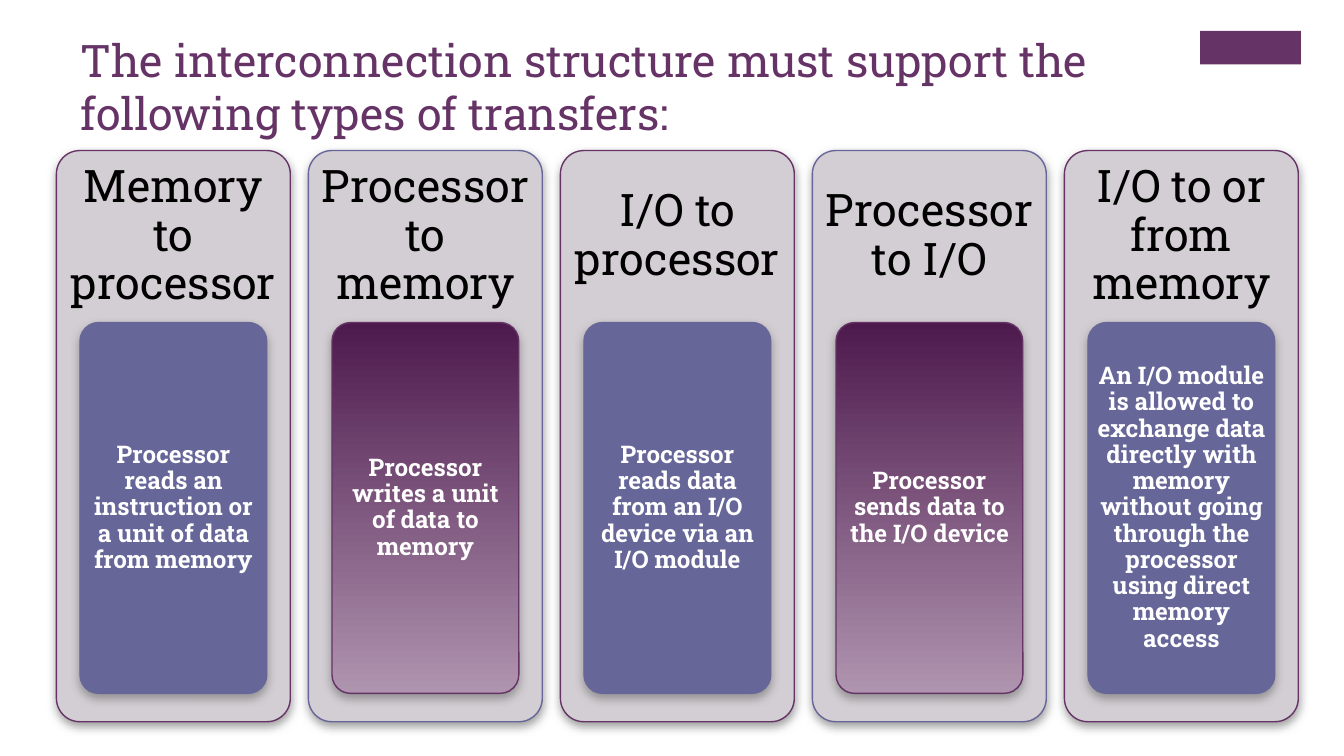
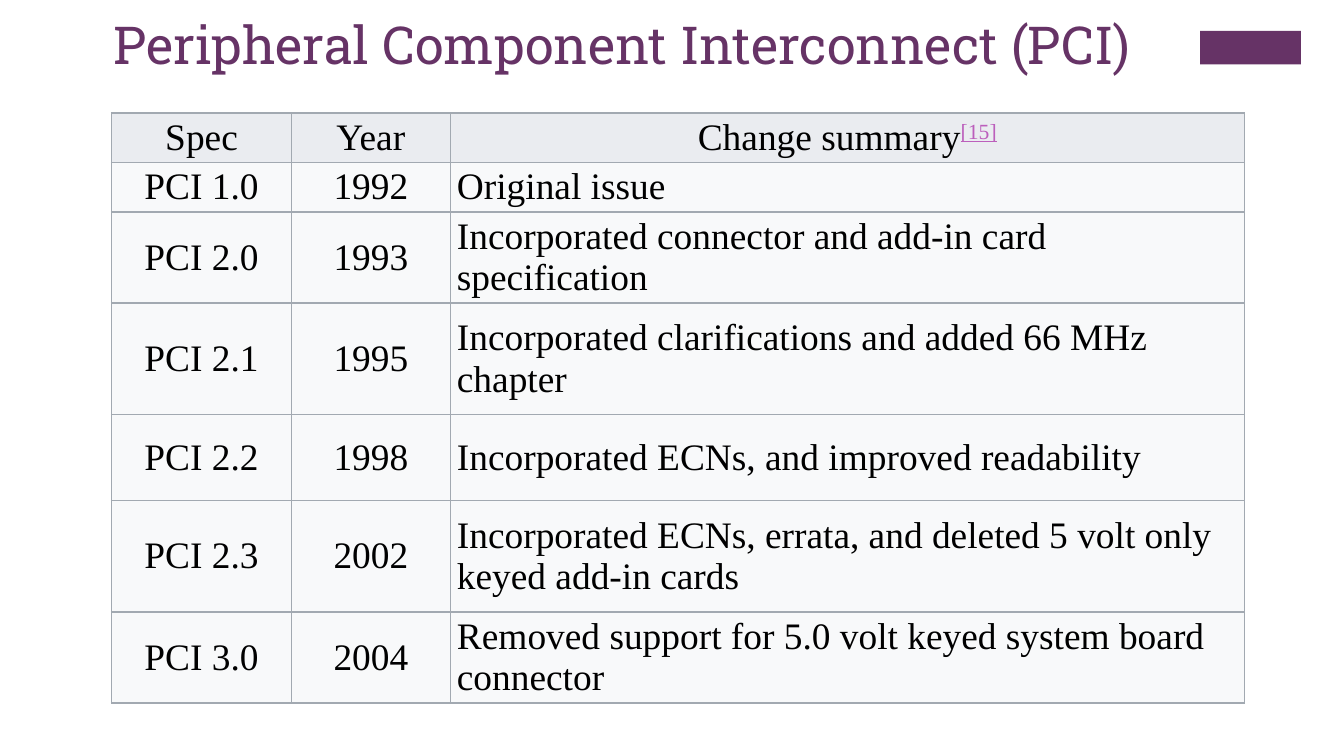
"""Build two slides on interconnection transfers and PCI revisions."""
from dataclasses import dataclass

from lxml import etree
from pptx import Presentation
from pptx import util as u
from pptx.dml.color import RGBColor
from pptx.enum import shapes, text
from pptx.oxml import parse_xml
from pptx.oxml.ns import nsdecls, qn


@dataclass(frozen=True)
class Theme:
    purple: str = "663366"
    violet: str = "666699"
    deep: str = "4D1A4D"
    mauve: str = "AF94AF"
    card: str = "D3CED3"
    shadow: str = "808080"
    black: str = "000000"
    white: str = "FFFFFF"
    link: str = "BC5FBC"
    header: str = "EAECF0"
    row: str = "F8F9FA"
    border: str = "A2A9B1"
    slab: str = "Roboto Slab"
    serif: str = "Times New Roman"
    title: int = 24
    big_title: int = 28
    heading: int = 24
    detail: int = 13
    table: int = 20
    line: float = 0.75


theme = Theme()


def add_span(para, words, size, color, font=theme.slab, bold=False):
    span = para.add_run()
    span.text = words
    span.font.size = u.Pt(size)
    span.font.name = font
    span.font.bold = bold
    span.font.color.rgb = RGBColor.from_string(color)
    return span


def add_card(page, left, top, width, height, line):
    card = page.shapes.add_shape(
        shapes.MSO_SHAPE.ROUNDED_RECTANGLE,
        u.Inches(left), u.Inches(top), u.Inches(width), u.Inches(height))
    card.adjustments[0] = 0.1
    card.line.color.rgb = RGBColor.from_string(line)
    card.line.width = u.Pt(theme.line)
    card.fill.solid()
    card.element.spPr.append(parse_xml(
        f'<a:effectLst {nsdecls("a")}>'
        f'<a:outerShdw blurRad="{u.Pt(5)}" dist="{u.Pt(2)}" dir="5400000" rotWithShape="0">'
        f'<a:srgbClr val="{theme.shadow}"><a:alpha val="75000"/></a:srgbClr>'
        '</a:outerShdw></a:effectLst>'))
    return card


deck = Presentation()
deck.slide_width, deck.slide_height = u.Inches(10), u.Inches(10 * 9 / 16)
layout = deck.slide_layouts[5]

titles = [
    ("The interconnection structure must support the following types of transfers:",
     0.19, theme.title, text.PP_ALIGN.LEFT),
    ("Peripheral Component Interconnect (PCI)",
     0.04, theme.big_title, text.PP_ALIGN.CENTER),
]
pages = []
for words, top, size, align in titles:
    page = deck.slides.add_slide(layout)
    title = page.shapes.title
    title.left, title.top = u.Inches(0.5), u.Inches(top)
    title.width, title.height = u.Inches(8.26), u.Inches(0.92)
    title.text_frame.auto_size = text.MSO_AUTO_SIZE.NONE
    title.text_frame.vertical_anchor = text.MSO_ANCHOR.TOP
    para = title.text_frame.paragraphs[0]
    para.alignment = align
    add_span(para, words, size, theme.purple)
    pages.append(page)
transfer_page, pci_page = pages

band = transfer_page.shapes.add_shape(
    shapes.MSO_SHAPE.RECTANGLE,
    u.Inches(8.93), u.Inches(0.23), u.Inches(0.75), u.Inches(0.25))
band.shadow.inherit = False
band.fill.solid()
band.fill.fore_color.rgb = RGBColor.from_string(theme.purple)
band.line.fill.background()
layout.shapes.element.append(band.element)

transfers = [
    ("Memory to processor",
     "Processor reads an instruction or a unit of data from memory"),
    ("Processor to memory",
     "Processor writes a unit of data to memory"),
    ("I/O to processor",
     "Processor reads data from an I/O device via an I/O module"),
    ("Processor to I/O",
     "Processor sends data to the I/O device"),
    ("I/O to or from memory",
     "An I/O module is allowed to exchange data directly with memory without "
     "going through the processor using direct memory access"),
]
card_width, detail_width = 1.74, 1.39
pitch = 7.5 / (len(transfers) - 1)
for index, (heading, detail) in enumerate(transfers):
    left = 0.42 + index * pitch
    shaded = index % 2 == 1
    outer_line, inner_line = theme.purple, theme.violet
    if shaded:
        outer_line, inner_line = inner_line, outer_line

    card = add_card(transfer_page, left, 1.12, card_width, 4.25, outer_line)
    card.fill.fore_color.rgb = RGBColor.from_string(theme.card)

    heading_box = transfer_page.shapes.add_textbox(
        u.Inches(left), u.Inches(1.12), u.Inches(card_width), u.Inches(1.28))
    detail_card = add_card(
        transfer_page, left + (card_width - detail_width) / 2, 2.4,
        detail_width, 2.76, inner_line)
    if shaded:
        detail_card.fill.gradient()
        detail_card.fill.gradient_angle = 270
        for stop, color in zip(detail_card.fill.gradient_stops, (theme.deep, theme.mauve)):
            stop.color.rgb = RGBColor.from_string(color)
    else:
        detail_card.fill.fore_color.rgb = RGBColor.from_string(theme.violet)

    for box, words, size, color, bold, side, edge in (
            (heading_box, heading, theme.heading, theme.black, False, 0.1, 0.1),
            (detail_card, detail, theme.detail, theme.white, True, 0.03, 0.03)):
        frame = box.text_frame
        frame.word_wrap = True
        frame.vertical_anchor = text.MSO_ANCHOR.MIDDLE
        frame.margin_left = frame.margin_right = u.Inches(side)
        frame.margin_top = frame.margin_bottom = u.Inches(edge)
        para = frame.paragraphs[0]
        para.alignment = text.PP_ALIGN.CENTER
        para.line_spacing = 0.9
        add_span(para, words, size, color, bold=bold)

revisions = [
    ("Spec", "Year", "Change summary"),
    ("PCI 1.0", "1992", "Original issue"),
    ("PCI 2.0", "1993", "Incorporated connector and add-in card specification"),
    ("PCI 2.1", "1995", "Incorporated clarifications and added 66 MHz chapter"),
    ("PCI 2.2", "1998", "Incorporated ECNs, and improved readability"),
    ("PCI 2.3", "2002", "Incorporated ECNs, errata, and deleted 5 volt only keyed add-in cards"),
    ("PCI 3.0", "2004", "Removed support for 5.0 volt keyed system board connector"),
]
column_widths = [1.34, 1.18, 5.91]
row_heights = [0.26, 0.26, 0.64, 0.83, 0.64, 0.83, 0.64]
table = pci_page.shapes.add_table(
    len(revisions), len(column_widths), u.Inches(0.83), u.Inches(0.84),
    u.Inches(sum(column_widths)), u.Inches(sum(row_heights))).table
table.first_row = table.horz_banding = False
for column, width in zip(table.columns, column_widths):
    column.width = u.Inches(width)
for row, height in zip(table.rows, row_heights):
    row.height = u.Inches(height)

for row_index, revision in enumerate(revisions):
    for column_index, words in enumerate(revision):
        cell = table.cell(row_index, column_index)
        cell.margin_left = cell.margin_right = u.Inches(0.05)
        cell.margin_top = cell.margin_bottom = u.Inches(0.03)
        cell.vertical_anchor = text.MSO_ANCHOR.MIDDLE
        properties = cell._tc.get_or_add_tcPr()
        for side in "LRTB":
            edge = etree.SubElement(properties, qn(f"a:ln{side}"), w=str(u.Pt(theme.line)))
            paint = etree.SubElement(edge, qn("a:solidFill"))
            etree.SubElement(paint, qn("a:srgbClr"), val=theme.border)
        cell.fill.solid()
        cell.fill.fore_color.rgb = RGBColor.from_string(
            theme.header if row_index == 0 else theme.row)
        para = cell.text_frame.paragraphs[0]
        centred = row_index == 0 or column_index < 2
        para.alignment = text.PP_ALIGN.CENTER if centred else text.PP_ALIGN.LEFT
        add_span(para, words, theme.table, theme.black, theme.serif)

citation = add_span(
    table.cell(0, 2).text_frame.paragraphs[0], "[15]", theme.table, theme.link, theme.serif)
citation.font.underline = True
citation.font._element.set("baseline", "30000")

deck.save("out.pptx")
